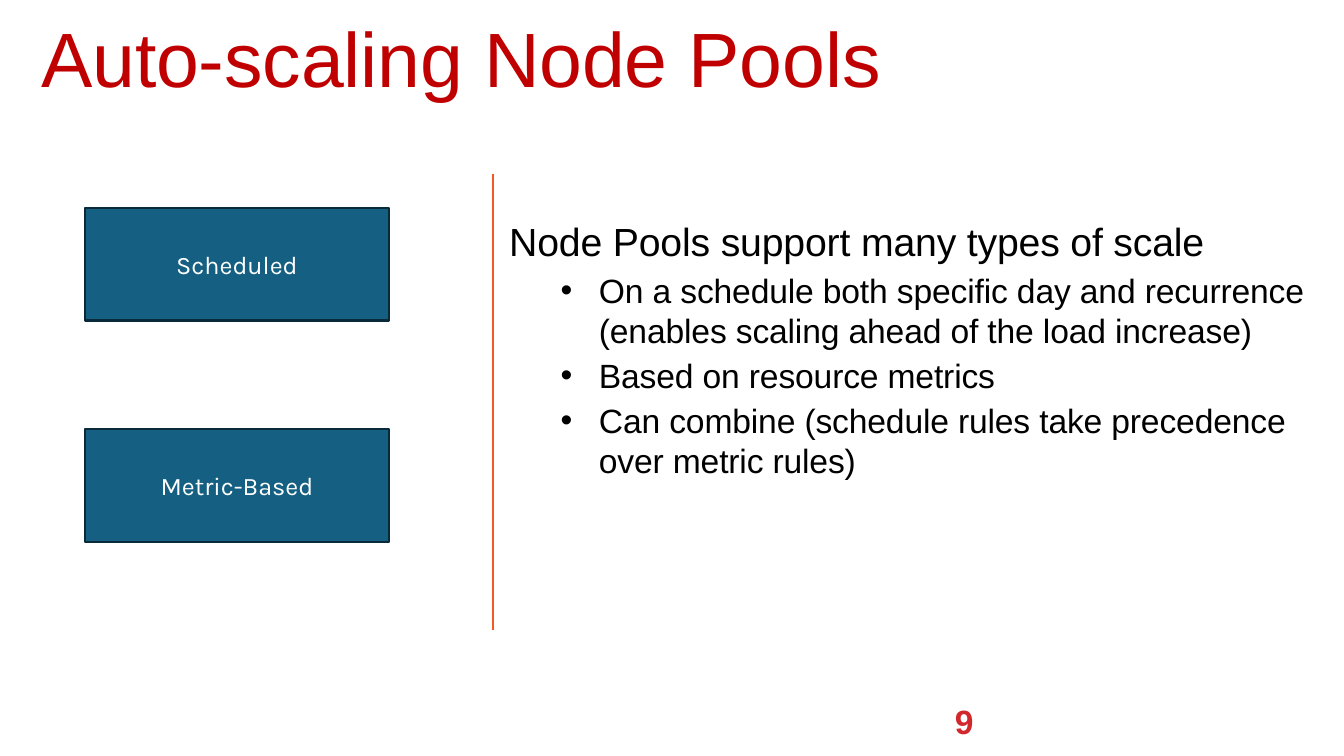
from lxml.etree import SubElement
from pptx import Presentation
from pptx.dml.color import RGBColor
from pptx.enum.shapes import MSO_CONNECTOR as CONNECTOR, MSO_SHAPE as SHAPE
from pptx.enum.text import MSO_ANCHOR as ANCHOR, PP_ALIGN as ALIGN
from pptx.oxml.ns import qn
from pptx.util import Inches, Pt

WHITE = RGBColor(0xFF, 0xFF, 0xFF)
BLACK = RGBColor(0x00, 0x00, 0x00)
TITLE_RED = RGBColor(0xC0, 0x00, 0x00)
NUMBER_RED = RGBColor(0xD1, 0x28, 0x2E)
ORANGE = RGBColor(0xF0, 0x5A, 0x28)
TEAL = RGBColor(0x15, 0x60, 0x82)
DARK_TEAL = RGBColor(0x09, 0x2A, 0x39)

SCALE_TYPES = [
    "On a schedule both specific day and recurrence (enables scaling ahead of the load increase)",
    "Based on resource metrics",
    "Can combine (schedule rules take precedence over metric rules)",
]


class NodePoolPage:
    """Holds the fonts and the page that elements are added to."""

    text_font = "Arial"
    label_font = "Karla"

    def __init__(self, page):
        self.page = page

    def style(self, para, name, size, color, bold=False):
        font = para.font
        font.name, font.size, font.bold = name, Pt(size), bold
        font.color.rgb = color

    def tighten(self, para):
        """Draw the letters of a styled paragraph 0.1 pt closer."""
        para._p.pPr.find(qn("a:defRPr")).set("spc", "-10")

    def text_frame(self, left, top, width, height, margins):
        box = self.page.shapes.add_textbox(
            Inches(left), Inches(top), Inches(width), Inches(height))
        frame = box.text_frame
        frame.word_wrap = True
        (frame.margin_left, frame.margin_top,
         frame.margin_right, frame.margin_bottom) = map(Inches, margins)
        return frame

    def heading(self, text, left, top, width, height, size, color):
        frame = self.text_frame(left, top, width, height, (0.01, 0.1, 0, 0))
        para = frame.paragraphs[0]
        para.text = text
        self.style(para, self.text_font, size, color)
        self.tighten(para)
        return frame

    def bullet(self, frame, text):
        para = frame.add_paragraph()
        para.text = text
        para.level = 1
        para.space_before = Pt(3.4)
        properties = para._p.get_or_add_pPr()
        properties.set("marL", str(Inches(0.89)))
        properties.set("indent", str(Inches(-0.38)))
        SubElement(properties, qn("a:buFont")).set("typeface", self.text_font)
        SubElement(properties, qn("a:buChar")).set("char", "•")
        self.style(para, self.text_font, 24, BLACK)
        self.tighten(para)

    def page_number(self, text, left, top, width, height):
        frame = self.text_frame(left, top, width, height, [0.05] * 4)
        frame.vertical_anchor = ANCHOR.MIDDLE
        para = frame.paragraphs[0]
        para.text = text
        self.style(para, self.text_font, 24, NUMBER_RED, bold=True)

    def divider(self, left, top, bottom):
        line = self.page.shapes.add_connector(
            CONNECTOR.STRAIGHT, Inches(left), Inches(top), Inches(left), Inches(bottom))
        line.line.color.rgb = ORANGE
        line.line.width = Pt(2.04)
        SubElement(line._element.spPr, qn("a:effectLst"))

    def label_box(self, text, left, top, width, height):
        box = self.page.shapes.add_shape(
            SHAPE.RECTANGLE, Inches(left), Inches(top), Inches(width), Inches(height))
        box.shadow.inherit = False
        box.fill.solid()
        box.fill.fore_color.rgb = TEAL
        box.line.color.rgb = DARK_TEAL
        box.line.width = Pt(1.5)
        box.text_frame.vertical_anchor = ANCHOR.MIDDLE
        para = box.text_frame.paragraphs[0]
        para.text = text
        para.alignment = ALIGN.CENTER
        self.style(para, self.label_font, 18, WHITE)


def main():
    deck = Presentation()
    deck.slide_width, deck.slide_height = Inches(13.33), Inches(7.5)
    page = NodePoolPage(deck.slides.add_slide(deck.slide_layouts[6]))

    page.page_number("9", 9.42, 6.95, 3, 0.4)
    body = page.heading("Node Pools support many types of scale",
                        5.04, 2.06, 7.91, 2.66, 28, BLACK)
    for text in SCALE_TYPES:
        page.bullet(body, text)
    page.divider(4.89, 1.73, 6.25)
    page.heading("Auto-scaling Node Pools", 0.4, 0, 9.83, 0.97, 55, TITLE_RED)
    for row, text in enumerate(["Scheduled", "Metric-Based"]):
        page.label_box(text, 0.84, 2.06 + 2.2 * row, 3.02, 1.12)

    deck.save("out.pptx")


if __name__ == "__main__":
    main()
